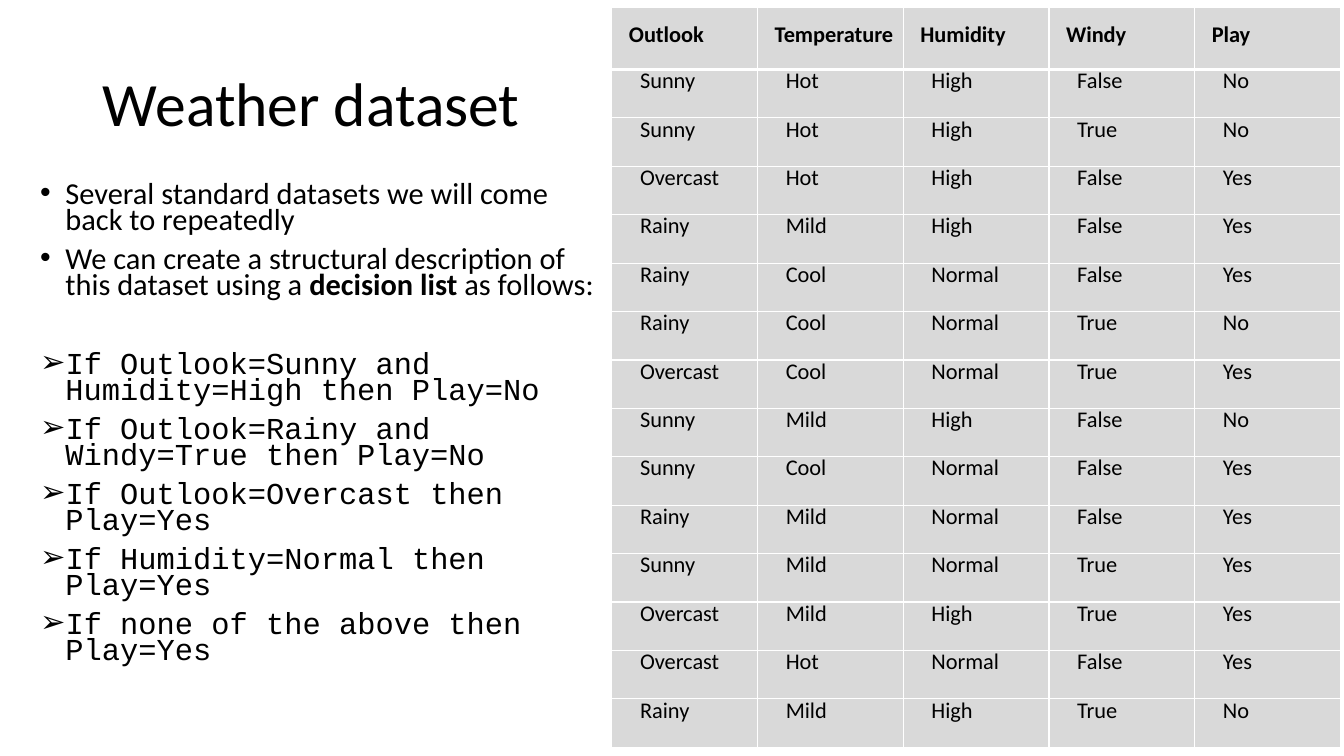
"""Build the weather dataset slide: a decision list beside its data table."""
from dataclasses import dataclass

from lxml import etree
from pptx import Presentation
from pptx import util as u
from pptx.dml import color
from pptx.enum import text
from pptx.oxml import ns

BLACK, WHITE, GREY = "000000", "FFFFFF", "D9D9D9"
SANS, MONO = "Calibri", "Courier New"
HEADER = ("Outlook", "Temperature", "Humidity", "Windy", "Play")
DAYS = """Sunny Hot High False No
Sunny Hot High True No
Overcast Hot High False Yes
Rainy Mild High False Yes
Rainy Cool Normal False Yes
Rainy Cool Normal True No
Overcast Cool Normal True Yes
Sunny Mild High False No
Sunny Cool Normal False Yes
Rainy Mild Normal False Yes
Sunny Mild Normal True Yes
Overcast Mild High True Yes
Overcast Hot Normal False Yes
Rainy Mild High True No"""


@dataclass
class Item:
    """A bulleted paragraph; every second run is bold."""
    runs: tuple[str, ...]
    bullet: str = "•"
    face: str = SANS
    before: float = 10


@dataclass
class CellStyle:
    """The look of one kind of table row."""
    height: float
    left: float
    margin: float
    anchor: text.MSO_ANCHOR
    bold: bool
    top: float
    bottom: float


HEAD = CellStyle(1.57, 0.43, 0.18, text.MSO_ANCHOR.MIDDLE, True, 1, 3)
FIRST = CellStyle(1.22, 0.71, 0.1, text.MSO_ANCHOR.TOP, False, 3, 1)
BODY = CellStyle(1.22, 0.71, 0.1, text.MSO_ANCHOR.TOP, False, 1, 1)

RULES = (
    "If Outlook=Sunny and Humidity=High then Play=No",
    "If Outlook=Rainy and Windy=True then Play=No",
    "If Outlook=Overcast then Play=Yes",
    "If Humidity=Normal then Play=Yes",
    "If none of the above then Play=Yes",
)
ITEMS = [
    Item(("Several standard datasets we will come back to repeatedly",)),
    Item(("We can create a structural description of this dataset using a ",
          "decision list ", "as follows:")),
    *(Item((rule,), "➢", MONO, 10 if i else 38.5) for i, rule in enumerate(RULES)),
]


def rgb(value: str) -> color.RGBColor:
    """Turn a hex string into a colour."""
    return color.RGBColor.from_string(value)


def set_font(p, size: float, face: str = SANS, bold: bool = False) -> None:
    """Set the font of a whole paragraph."""
    p.font.size, p.font.name, p.font.bold = u.Pt(size), face, bold
    p.font.color.rgb = rgb(BLACK)


def set_bullet(p, char: str, face: str) -> None:
    """Give a paragraph a hanging bullet."""
    pPr = p._p.get_or_add_pPr()
    pPr.set("marL", str(u.Cm(0.64)))
    pPr.set("indent", str(u.Cm(-0.64)))
    bu_font = etree.Element(ns.qn("a:buFont"), typeface=face)
    bu_char = etree.Element(ns.qn("a:buChar"), char=char)
    defaults = pPr.find(ns.qn("a:defRPr"))
    defaults.addprevious(bu_font)
    defaults.addprevious(bu_char)


def set_border(cell, side: str, width: float) -> None:
    """Draw one white border of a cell."""
    tcPr = cell._tc.get_or_add_tcPr()
    ln = etree.SubElement(tcPr, ns.qn(f"a:ln{side}"), w=str(u.Pt(width)))
    fill = etree.SubElement(ln, ns.qn("a:solidFill"))
    etree.SubElement(fill, ns.qn("a:srgbClr"), val=WHITE)


def add_title(s) -> None:
    """Place and format the title placeholder."""
    sp = s.shapes.title
    sp.left, sp.top, sp.width, sp.height = u.Cm(2.34), u.Cm(0.84), u.Cm(13.08), u.Cm(3.68)
    tf = sp.text_frame
    tf.text = "Weather dataset"
    tf.word_wrap, tf.auto_size = True, text.MSO_AUTO_SIZE.NONE
    tf.vertical_anchor = text.MSO_ANCHOR.MIDDLE
    p = tf.paragraphs[0]
    p.alignment, p.line_spacing = text.PP_ALIGN.LEFT, 0.9
    set_font(p, 44)


def fill_cell(cell, value: str, style: CellStyle) -> None:
    """Write and format one table cell."""
    cell.text = value
    cell.vertical_anchor = style.anchor
    cell.margin_left = u.Cm(style.left)
    cell.margin_top = cell.margin_right = cell.margin_bottom = u.Cm(style.margin)
    for side, width in (("L", 1), ("R", 1), ("T", style.top), ("B", style.bottom)):
        set_border(cell, side, width)
    cell.fill.solid()
    cell.fill.fore_color.rgb = rgb(GREY)
    p = cell.text_frame.paragraphs[0]
    p.line_spacing = u.Pt(15.2)
    set_font(p, 16, bold=style.bold)


def add_weather_table(s) -> None:
    """Add the table of days."""
    rows = [HEADER, *(line.split() for line in DAYS.splitlines())]
    styles = [HEAD, FIRST] + [BODY] * (len(rows) - 2)
    height = sum(style.height for style in styles)
    table = s.shapes.add_table(len(rows), len(HEADER), u.Cm(15.42), u.Cm(0.18),
                               u.Cm(18.36), u.Cm(height)).table
    table.horz_banding = False
    for i, (row, style) in enumerate(zip(rows, styles)):
        table.rows[i].height = u.Cm(style.height)
        for j, value in enumerate(row):
            fill_cell(table.cell(i, j), value, style)


def add_decision_list(s, items: list[Item]) -> None:
    """Add the bulleted text."""
    tf = s.shapes.add_textbox(u.Cm(0.76), u.Cm(4.52), u.Cm(14.63), u.Cm(13.97)).text_frame
    tf.word_wrap = True
    for i, item in enumerate(items):
        p = tf.add_paragraph() if i else tf.paragraphs[0]
        p.line_spacing, p.space_before = 0.7, u.Pt(item.before)
        set_font(p, 21.7, item.face)
        set_bullet(p, item.bullet, "Arial")
        for j, words in enumerate(item.runs):
            r = p.add_run()
            r.text = words
            if j % 2:
                r.font.bold = True


def main() -> None:
    """Build and save the slide."""
    prs = Presentation()
    prs.slide_width, prs.slide_height = u.Cm(33.87), u.Cm(19.05)
    s = prs.slides.add_slide(prs.slide_layouts[5])
    add_title(s)
    add_weather_table(s)
    add_decision_list(s, ITEMS)
    prs.save("out.pptx")


if __name__ == "__main__":
    main()
